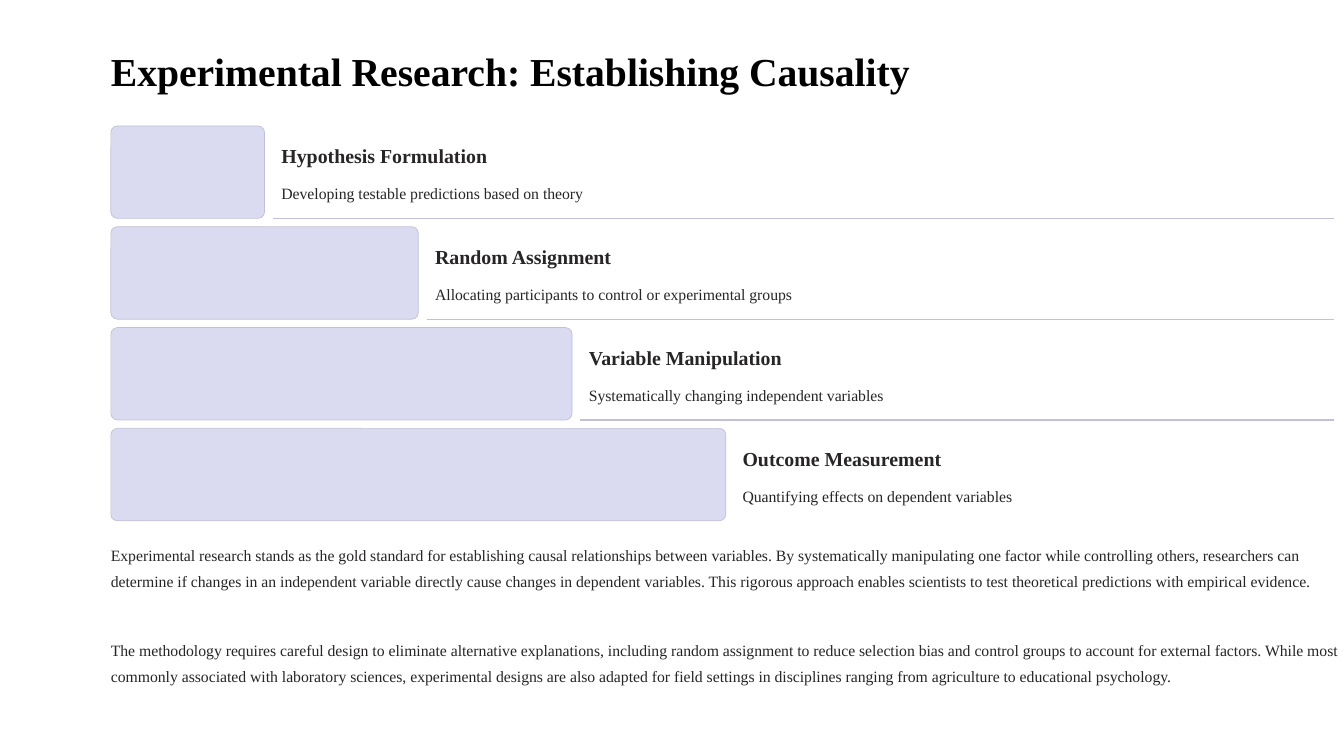
from dataclasses import dataclass

from pptx import Presentation
from pptx.dml.color import RGBColor
from pptx.enum.shapes import MSO_CONNECTOR, MSO_SHAPE
from pptx.enum.text import MSO_ANCHOR, MSO_AUTO_SIZE, PP_ALIGN
from pptx.oxml.ns import qn
from pptx.util import Inches, Pt

BLACK = RGBColor(0x00, 0x00, 0x00)
INK = RGBColor(0x27, 0x25, 0x25)
LILAC = RGBColor(0xDA, 0xDB, 0xF1)
EDGE = RGBColor(0xC0, 0xC1, 0xD7)
FACE = "Times New Roman"

LEFT, TOP = 1.32, 1.5
COL, ROW = 1.83, 1.2
TALL, GAP = 1.1, 0.1
RIGHT = 15.88


@dataclass(frozen=True)
class Style:
    size: float
    line: float
    bold: bool
    color: RGBColor


@dataclass(frozen=True)
class Step:
    name: str
    note: str


TITLE = Style(34, 43, True, BLACK)
HEAD = Style(17, 21.5, True, INK)
BODY = Style(13.5, 22, False, INK)

STEPS = [
    Step("Hypothesis Formulation", "Developing testable predictions based on theory"),
    Step("Random Assignment", "Allocating participants to control or experimental groups"),
    Step("Variable Manipulation", "Systematically changing independent variables"),
    Step("Outcome Measurement", "Quantifying effects on dependent variables"),
]

PROSE = [
    "Experimental research stands as the gold standard for establishing causal "
    "relationships between variables. By systematically manipulating one factor while "
    "controlling others, researchers can determine if changes in an independent variable "
    "directly cause changes in dependent variables. This rigorous approach enables "
    "scientists to test theoretical predictions with empirical evidence.",
    "The methodology requires careful design to eliminate alternative explanations, "
    "including random assignment to reduce selection bias and control groups to account "
    "for external factors. While most commonly associated with laboratory sciences, "
    "experimental designs are also adapted for field settings in disciplines ranging "
    "from agriculture to educational psychology.",
]


def write(shape, text: str, style: Style, wrap: bool) -> None:
    frame = shape.text_frame
    frame.text = text
    frame.word_wrap = wrap
    frame.auto_size = MSO_AUTO_SIZE.NONE
    frame.vertical_anchor = MSO_ANCHOR.TOP
    frame.margin_left = frame.margin_right = 0
    frame.margin_top = frame.margin_bottom = 0
    para = frame.paragraphs[0]
    para.alignment = PP_ALIGN.LEFT
    para.line_spacing = Pt(style.line)
    font = para.runs[0].font
    font.name = FACE
    font.size = Pt(style.size)
    font.bold = style.bold
    font.color.rgb = style.color


def label(slide, x: float, y: float, wide: float, tall: float,
          text: str, style: Style, wrap: bool = False) -> None:
    box = slide.shapes.add_textbox(Inches(x), Inches(y), Inches(wide), Inches(tall))
    write(box, text, style, wrap)


def bar(slide, y: float, wide: float) -> None:
    shape = slide.shapes.add_shape(
        MSO_SHAPE.ROUNDED_RECTANGLE, Inches(LEFT), Inches(y), Inches(wide), Inches(TALL))
    shape.adjustments[0] = 0.07
    shape.shadow.inherit = False
    shape.fill.solid()
    shape.fill.fore_color.rgb = LILAC
    shape.line.color.rgb = EDGE
    shape.line.width = Pt(0.6)


def rule(slide, x: float, y: float) -> None:
    line = slide.shapes.add_connector(
        MSO_CONNECTOR.STRAIGHT, Inches(x), Inches(y), Inches(RIGHT), Inches(y))
    line.line.color.rgb = EDGE
    line.line.width = Pt(0.9)
    props = line._element.spPr
    props.append(props.makeelement(qn("a:effectLst"), {}))


def main() -> None:
    deck = Presentation()
    deck.slide_width, deck.slide_height = Inches(16), Inches(9)
    slide = deck.slides.add_slide(deck.slide_layouts[5])

    title = slide.shapes.title
    title.left, title.top = Inches(LEFT), Inches(0.53)
    title.width, title.height = Inches(10.85), Inches(0.6)
    write(title, "Experimental Research: Establishing Causality", TITLE, False)

    for i, step in enumerate(STEPS):
        y = TOP + i * ROW
        wide = (i + 1) * COL
        edge = LEFT + wide
        x = edge + 2 * GAP
        bar(slide, y, wide)
        label(slide, x, y + 0.2, 2.8, 0.3, step.name, HEAD)
        label(slide, x, y + 0.61, 5.08, 0.31, step.note, BODY)
        if i < len(STEPS) - 1:
            rule(slide, edge + GAP, y + TALL)

    for i, text in enumerate(PROSE):
        label(slide, LEFT, 6.42 + i * 1.13, 14.66, 0.92, text, BODY, True)

    deck.save("out.pptx")


if __name__ == "__main__":
    main()
